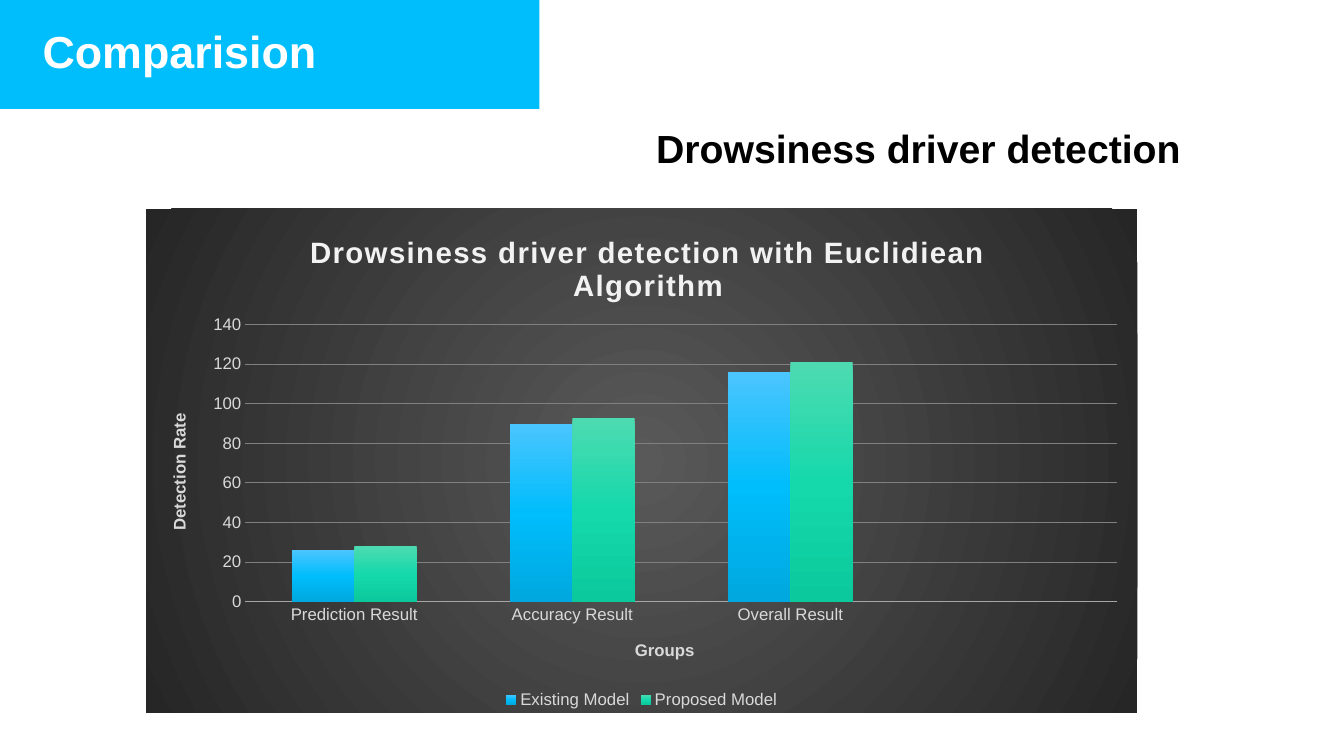
from dataclasses import dataclass
from typing import Any

import pptx
import pptx.chart.data
import pptx.dml.color
import pptx.enum.chart
import pptx.enum.shapes
import pptx.enum.text
import pptx.oxml
import pptx.oxml.ns
import pptx.util

RGB = pptx.dml.color.RGBColor
ALIGN = pptx.enum.text.PP_ALIGN
ANCHOR = pptx.enum.text.MSO_ANCHOR

EMU_PER_PX = 9144
FONT = "Arial"
SKY = RGB(0x00, 0xBD, 0xFB)
WHITE = RGB(0xFF, 0xFF, 0xFF)
BLACK = RGB(0x00, 0x00, 0x00)
TITLE_GREY = RGB(0xF2, 0xF2, 0xF2)
LABEL_GREY = RGB(0xD9, 0xD9, 0xD9)
GRID_GREY = RGB(0x80, 0x80, 0x80)
BASE_GREY = RGB(0xA6, 0xA6, 0xA6)
PANEL_STOPS = {0: RGB(0x59, 0x59, 0x59), 100: RGB(0x26, 0x26, 0x26)}
BLUE_STOPS = {0: RGB(0x4B, 0xC5, 0xFF), 50: SKY, 100: RGB(0x00, 0xA8, 0xDF)}
GREEN_STOPS = {
    0: RGB(0x4E, 0xDA, 0xB1),
    50: RGB(0x15, 0xD9, 0xAB),
    100: RGB(0x0B, 0xC9, 0x9C),
}
DOWNWARD = '<a:lin ang="5400000" scaled="0"/>'
FROM_CENTRE = (
    '<a:path path="circle"><a:fillToRect l="50000" t="50000" r="50000" b="50000"/></a:path>'
)
NAMESPACES = pptx.oxml.ns.nsdecls("a", "c")


@dataclass(frozen=True)
class Frame:
    left: int
    top: int
    width: int
    height: int

    def emu(self) -> list[int]:
        return [n * EMU_PER_PX for n in (self.left, self.top, self.width, self.height)]


@dataclass(frozen=True)
class Heading:
    text: str
    frame: Frame
    size: int
    color: RGB
    align: ALIGN
    anchor: ANCHOR


@dataclass(frozen=True)
class ModelSeries:
    name: str
    values: tuple[float | None, ...]
    stops: dict[int, RGB]


HEADINGS = (
    Heading("Drowsiness driver detection", Frame(641, 118, 1010, 57), 28, BLACK,
            ALIGN.LEFT, ANCHOR.TOP),
    Heading("Comparision", Frame(-107, 18, 431, 64), 32, WHITE,
            ALIGN.RIGHT, ANCHOR.MIDDLE),
)
CATEGORIES = ("Prediction Result", "Accuracy Result", "Overall Result", "")
MODELS = (
    ModelSeries("Existing Model", (26, 90, 116, None), BLUE_STOPS),
    ModelSeries("Proposed Model", (28, 93, 121, None), GREEN_STOPS),
)


def set_all(target: Any, values: dict[str, Any]) -> None:
    for name, value in values.items():
        setattr(target, name, value)


def set_font(font: Any, size: int, color: RGB, bold: bool) -> None:
    set_all(font, {"name": FONT, "size": pptx.util.Pt(size), "bold": bold})
    font.color.rgb = color


def add_banner(page: Any) -> None:
    banner = page.shapes.add_shape(
        pptx.enum.shapes.MSO_SHAPE.RECTANGLE, *Frame(0, 0, 535, 108).emu())
    banner.shadow.inherit = False
    banner.fill.solid()
    banner.fill.fore_color.rgb = SKY
    banner.line.fill.background()


def add_heading(page: Any, heading: Heading) -> None:
    box = page.shapes.add_textbox(*heading.frame.emu())
    set_all(box.text_frame, {"word_wrap": True, "vertical_anchor": heading.anchor})
    para = box.text_frame.paragraphs[0]
    para.alignment = heading.align
    span = para.add_run()
    span.text = heading.text
    set_font(span.font, heading.size, heading.color, True)


def gradient(stops: dict[int, RGB], direction: str) -> Any:
    marks = "".join(
        f'<a:gs pos="{percent * 1000}"><a:srgbClr val="{color}"/></a:gs>'
        for percent, color in stops.items())
    return pptx.oxml.parse_xml(
        f'<a:gradFill {NAMESPACES} rotWithShape="1"><a:gsLst>{marks}</a:gsLst>'
        f'{direction}</a:gradFill>')


def layout(places: dict[str, float], inner: bool = False) -> Any:
    target = '<c:layoutTarget val="inner"/>' if inner else ""
    modes = "".join(f'<c:{key}Mode val="edge"/>' for key in ("x", "y"))
    sizes = "".join(f'<c:{key} val="{value}"/>' for key, value in places.items())
    return pptx.oxml.parse_xml(
        f'<c:layout {NAMESPACES}><c:manualLayout>{target}{modes}{sizes}'
        '</c:manualLayout></c:layout>')


def place(element: Any, arrangement: Any, index: int) -> None:
    for old in element.findall(pptx.oxml.ns.qn("c:layout")):
        element.remove(old)
    element.insert(index, arrangement)


def set_title(owner: Any, text: str, size: int, color: RGB, x: float, y: float) -> Any:
    title = owner.chart_title if hasattr(owner, "chart_title") else owner.axis_title
    para = title.text_frame.paragraphs[0]
    span = para.add_run()
    span.text = text
    set_font(span.font, size, color, True)
    place(title._element, layout({"x": x, "y": y}), 1)
    return span


def style_axes(chart: Any) -> None:
    for axis in (chart.category_axis, chart.value_axis):
        set_all(axis, {
            "major_tick_mark": pptx.enum.chart.XL_TICK_MARK.NONE,
            "minor_tick_mark": pptx.enum.chart.XL_TICK_MARK.NONE,
        })
        set_font(axis.tick_labels.font, 12, LABEL_GREY, False)
    base = chart.category_axis.format.line
    base.color.rgb = BASE_GREY
    base.width = pptx.util.Pt(0.75)
    rates = chart.value_axis
    set_all(rates, {"minimum_scale": 0, "maximum_scale": 140, "major_unit": 20,
                    "has_major_gridlines": True})
    rates.format.line.fill.background()
    rates.major_gridlines.format.line.color.rgb = GRID_GREY
    rates.major_gridlines.format.line.width = pptx.util.Pt(0.75)
    set_title(chart.category_axis, "Groups", 12, LABEL_GREY, 0.49, 0.85)
    set_title(rates, "Detection Rate", 12, LABEL_GREY, 0.02, 0.4)


def add_detection_chart(page: Any) -> None:
    data = pptx.chart.data.CategoryChartData()
    data.categories = CATEGORIES
    for model in MODELS:
        data.add_series(model.name, model.values)
    chart = page.shapes.add_chart(
        pptx.enum.chart.XL_CHART_TYPE.COLUMN_CLUSTERED,
        *Frame(145, 207, 983, 500).emu(), data).chart
    set_font(chart.font, 10, BLACK, False)
    set_all(chart, {"has_title": True, "has_legend": True})
    span = set_title(chart, "Drowsiness driver detection with Euclidiean Algorithm",
                     21, TITLE_GREY, 0.16, 0.04)
    span.font._element.set("spc", "100")
    set_all(chart.legend, {"position": pptx.enum.chart.XL_LEGEND_POSITION.BOTTOM,
                           "include_in_layout": False})
    set_font(chart.legend.font, 12, LABEL_GREY, False)
    style_axes(chart)
    plot = chart.plots[0]
    set_all(plot, {"gap_width": 150, "overlap": 0, "vary_by_categories": False})
    for series, model in zip(plot.series, MODELS):
        series.invert_if_negative = False
        series.format.fill.background()
        properties = series._element.spPr
        properties.replace(properties[0], gradient(model.stops, DOWNWARD))
    plot_area = chart._chartSpace.chart.plotArea
    place(plot_area, layout({"x": 0.1, "y": 0.23, "w": 0.88, "h": 0.55}, True), 0)
    panel = pptx.oxml.parse_xml(
        f'<c:spPr {NAMESPACES}><a:ln><a:noFill/></a:ln></c:spPr>')
    panel.insert(0, gradient(PANEL_STOPS, FROM_CENTRE))
    chart._chartSpace.chart.addnext(panel)


def main() -> None:
    deck = pptx.Presentation()
    set_all(deck, {"slide_width": 1333 * EMU_PER_PX, "slide_height": 750 * EMU_PER_PX})
    page = deck.slides.add_slide(deck.slide_layouts[6])
    add_banner(page)
    add_detection_chart(page)
    for heading in HEADINGS:
        add_heading(page, heading)
    deck.save("out.pptx")


if __name__ == "__main__":
    main()
